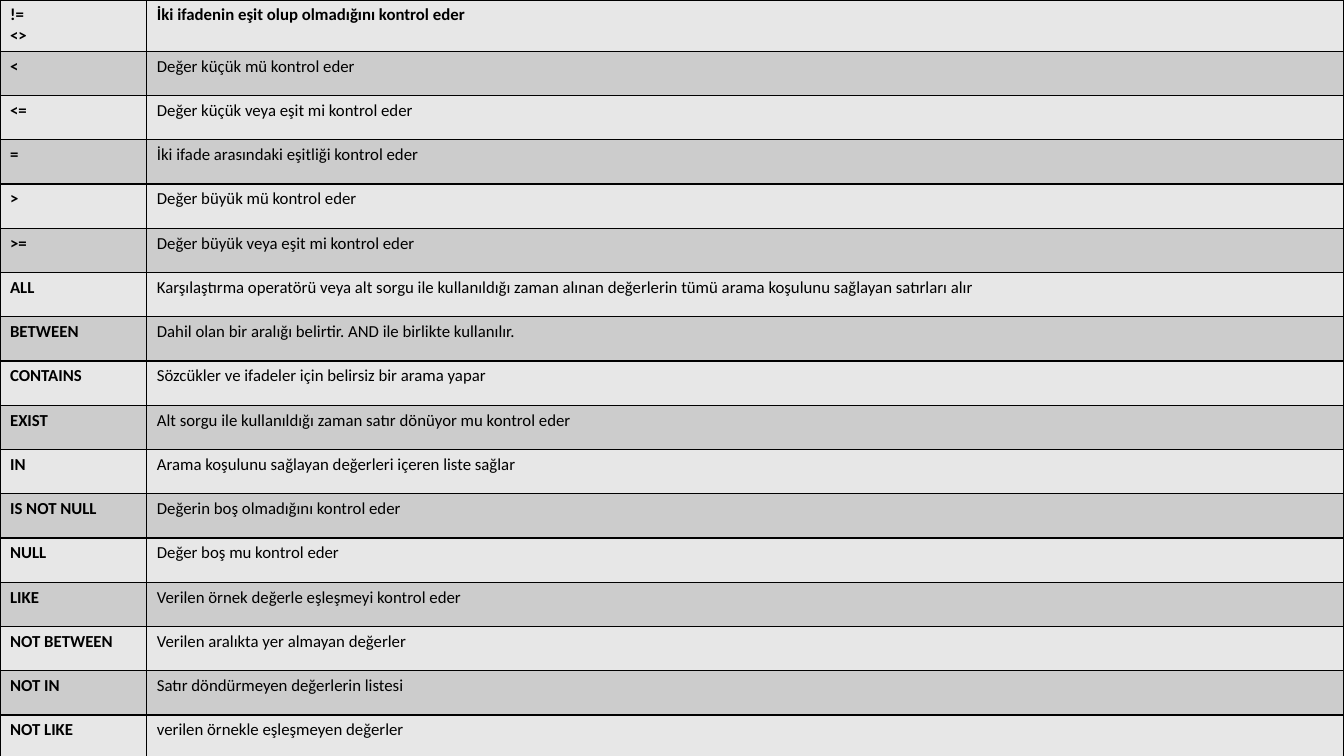
"""Build a slide with a table of SQL comparison operators."""
import pptx
import pptx.dml.color
import pptx.oxml
import pptx.oxml.ns
import pptx.util

Cm = pptx.util.Cm
COLORS = {"light": "E7E7E7", "dark": "CCCCCC", "ink": "000000"}
WIDTH, HEIGHT = 33.87, 19.05
LEFT, HEAD, TOTAL = 3.7, 1.29, 19.13
ROWS = [
    ("!=\n<>", "İki ifadenin eşit olup olmadığını kontrol eder"),
    ("<", "Değer küçük mü kontrol eder"),
    ("<=", "Değer küçük veya eşit mi kontrol eder"),
    ("=", "İki ifade arasındaki eşitliği kontrol eder"),
    (">", "Değer büyük mü kontrol eder"),
    (">=", "Değer büyük veya eşit mi kontrol eder"),
    ("ALL", "Karşılaştırma operatörü veya alt sorgu ile kullanıldığı zaman "
     "alınan değerlerin tümü arama koşulunu sağlayan satırları alır"),
    ("BETWEEN", "Dahil olan bir aralığı belirtir. AND ile birlikte kullanılır."),
    ("CONTAINS", "Sözcükler ve ifadeler için belirsiz bir arama yapar"),
    ("EXIST", "Alt sorgu ile kullanıldığı zaman satır dönüyor mu kontrol eder"),
    ("IN", "Arama koşulunu sağlayan değerleri içeren liste sağlar"),
    ("IS NOT NULL", "Değerin boş olmadığını kontrol eder"),
    ("NULL", "Değer boş mu kontrol eder"),
    ("LIKE", "Verilen örnek değerle eşleşmeyi kontrol eder"),
    ("NOT BETWEEN", "Verilen aralıkta yer almayan değerler"),
    ("NOT IN", "Satır döndürmeyen değerlerin listesi"),
    ("NOT LIKE", "verilen örnekle eşleşmeyen değerler"),
]


def color(name):
    return pptx.dml.color.RGBColor.from_string(COLORS[name])


def border(cell):
    props = cell._tc.get_or_add_tcPr()
    for side in ("lnL", "lnR", "lnT", "lnB"):
        props.append(pptx.oxml.parse_xml(
            f'<a:{side} {pptx.oxml.ns.nsdecls("a")} w="{pptx.util.Pt(1)}">'
            f'<a:solidFill><a:srgbClr val="{COLORS["ink"]}"/></a:solidFill>'
            f'</a:{side}>'))


deck = pptx.Presentation()
deck.slide_width, deck.slide_height = Cm(WIDTH), Cm(HEIGHT)
slide = deck.slides.add_slide(deck.slide_layouts[6])

frame = slide.shapes.add_table(len(ROWS), 2, Cm(0), Cm(0), Cm(WIDTH), Cm(TOTAL))
table = frame.table
table.columns[0].width = Cm(LEFT)
table.columns[1].width = Cm(WIDTH - LEFT)
step = (TOTAL - HEAD) / (len(ROWS) - 1)

for i, row in enumerate(ROWS):
    table.rows[i].height = Cm(step if i else HEAD)
    for j, text in enumerate(row):
        cell = table.cell(i, j)
        border(cell)
        cell.fill.solid()
        cell.fill.fore_color.rgb = color("dark" if i % 2 else "light")
        for n, line in enumerate(text.split("\n")):
            body = cell.text_frame
            para = body.add_paragraph() if n else body.paragraphs[0]
            run = para.add_run()
            run.text = line
            run.font.name = "Calibri"
            run.font.size = pptx.util.Pt(12)
            run.font.bold = i == 0 or j == 0
            run.font.color.rgb = color("ink")

deck.save("out.pptx")
